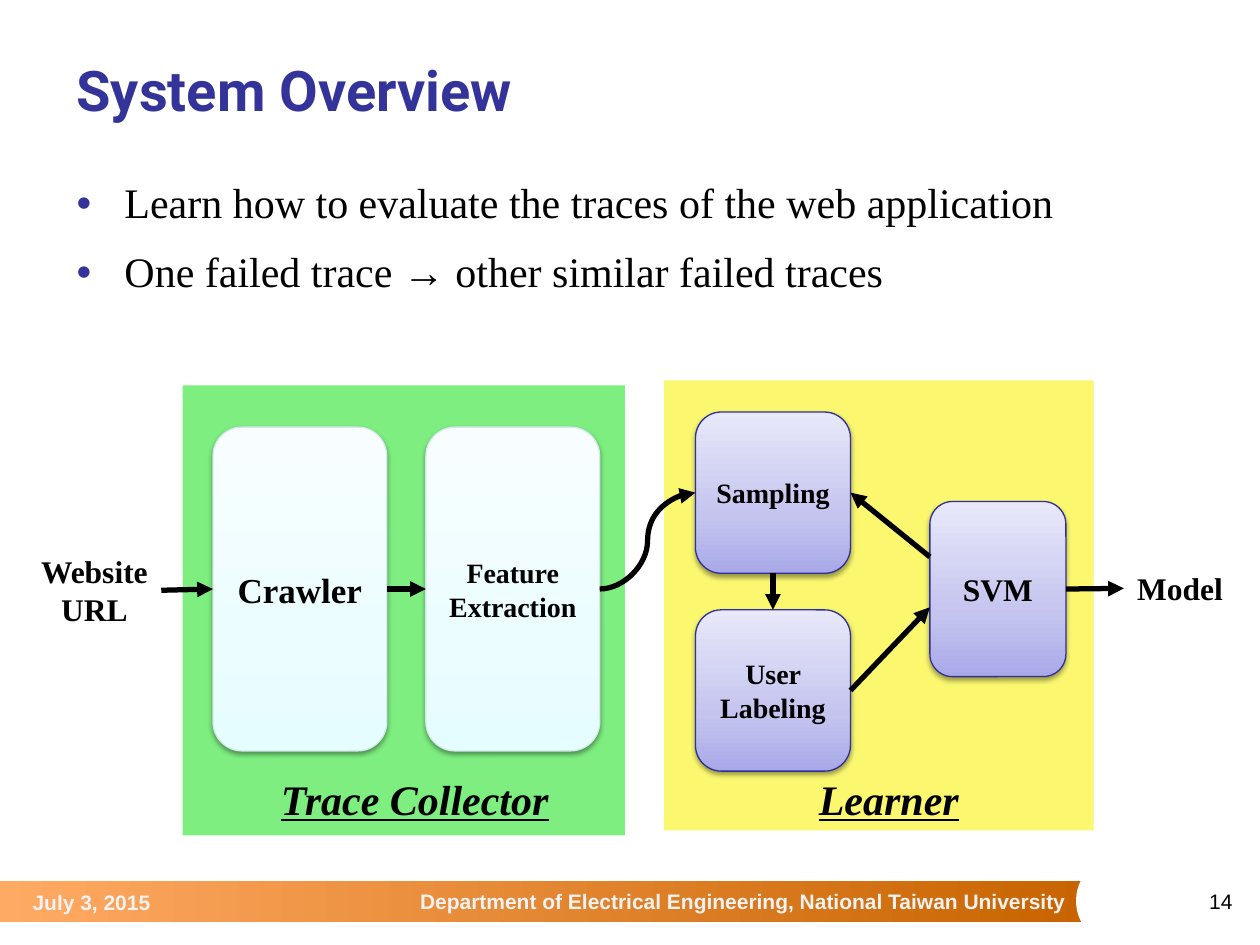
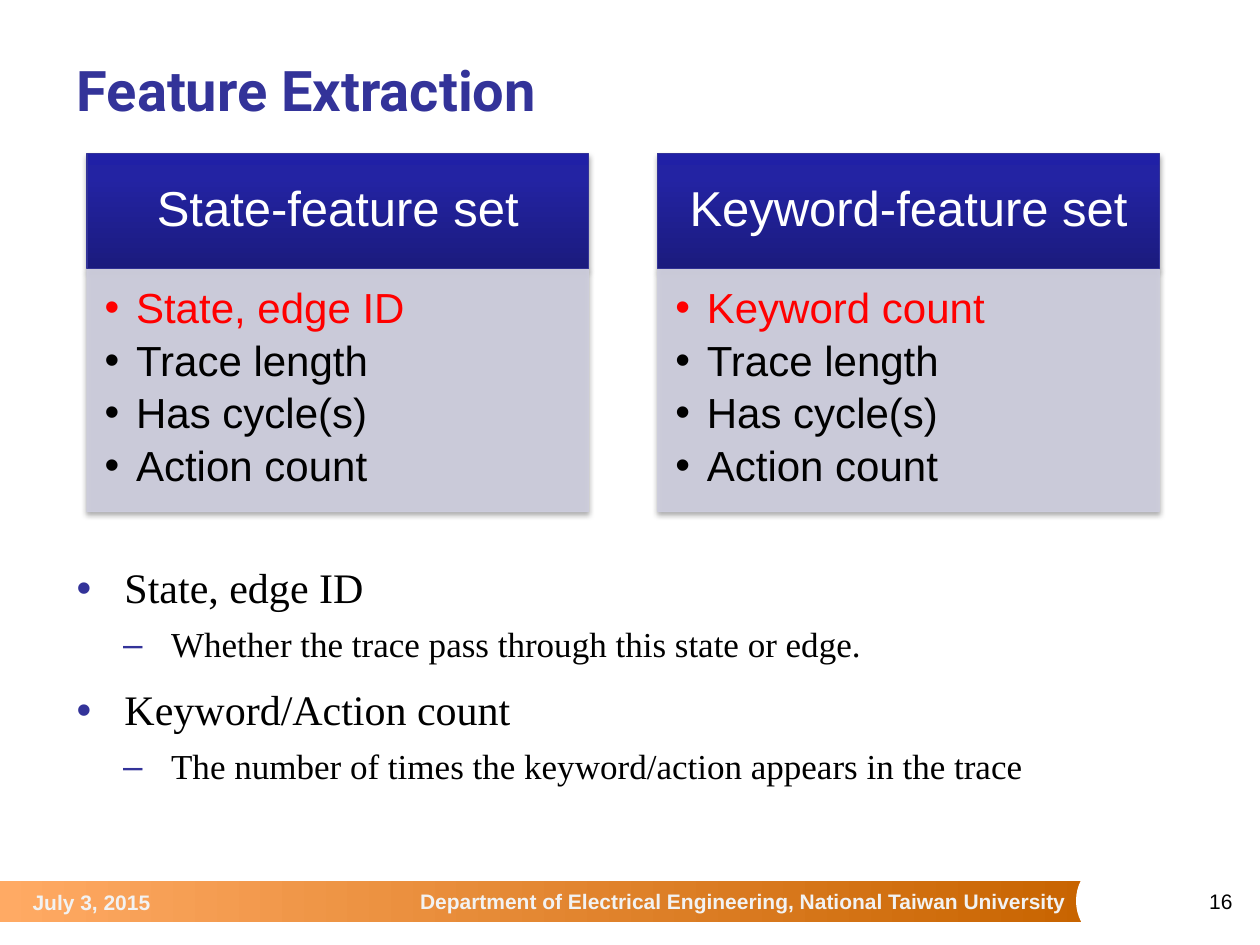
"""Build two slides on learning to judge web application traces: system overview and features."""
import collections

import lxml.etree
import pptx
import pptx.dml.color
import pptx.enum.shapes
import pptx.enum.text
import pptx.oxml.ns
import pptx.util

Inches, Pt = pptx.util.Inches, pptx.util.Pt
RGB = pptx.dml.color.RGBColor
SHAPE = pptx.enum.shapes.MSO_SHAPE
CONNECTOR = pptx.enum.shapes.MSO_CONNECTOR
ANCHOR = pptx.enum.text.MSO_ANCHOR
ALIGN = pptx.enum.text.PP_ALIGN
qn = pptx.oxml.ns.qn

BLACK, WHITE = RGB(0, 0, 0), RGB(0xFF, 0xFF, 0xFF)
NAVY, RED = RGB(0x33, 0x33, 0x99), RGB(0xFF, 0, 0)
FOOTER_INK = RGB(0xF2, 0xF2, 0xF2)
GREEN, YELLOW = RGB(0x7E, 0xEE, 0x81), RGB(0xFB, 0xF8, 0x70)
ICE_LINE, VIOLET_LINE = RGB(0xD5, 0xE8, 0xEA), RGB(0x2F, 0x2F, 0x98)
PANEL = RGB(0xCE, 0xCE, 0xDE)
ORANGE_BAND = [(0, RGB(0xC8, 0x64, 0)), (100, RGB(0xFF, 0xAA, 0x64))]
ICE = [(0, RGB(0xE6, 0xFD, 0xFF)), (35, RGB(0xEC, 0xFD, 0xFF)), (100, RGB(0xF8, 0xFE, 0xFF))]
VIOLET = [(0, RGB(0xA9, 0xA9, 0xE9)), (35, RGB(0xC4, 0xC4, 0xEF)), (100, RGB(0xE8, 0xE8, 0xFA))]
HEADER = [(0, RGB(0x1B, 0x1B, 0x7E)), (80, RGB(0x23, 0x23, 0xA3)), (100, RGB(0x20, 0x20, 0xA6))]
UPWARD, LEFTWARD = 90, 180

Style = collections.namedtuple("Style", "size face color bold italic underline",
                               defaults=(BLACK, False, False, False))
SERIF = "Times New Roman"
TITLE = Style(32, "Roboto", NAVY, True)
FOOTER = Style(12, "Arial", FOOTER_INK, True)
PAGE = Style(12, "Arial")
GROUP_LABEL = Style(24, SERIF, BLACK, True, True, True)
OUTER_LABEL = Style(18, SERIF, BLACK, True)
PANEL_TITLE = Style(28, "Arial", WHITE)
PANEL_ITEM = Style(24, "Arial")

Level = collections.namedtuple("Level", "style indent hanging bullet before")
BODY_LEVELS = [Level(Style(24, SERIF), 0.38, 0.38, "•", 12.4),
               Level(Style(20, SERIF), 0.75, 0.38, "–", 7)]

DATE = "July 3, 2015"
DEPARTMENT = "Department of Electrical Engineering, National Taiwan University"

OVERVIEW_POINTS = [(0, "Learn how to evaluate the traces of the web application"),
                   (0, "One failed trace → other similar failed traces")]
STAGES = [((1.45, 3.06, 3.51, 3.57), GREEN), ((5.27, 3.02, 3.41, 3.57), YELLOW)]
STEPS = {
    "Crawler": ((1.69, 3.39, 1.38, 2.57), 20, ICE, ICE_LINE),
    "Feature Extraction": ((3.38, 3.39, 1.38, 2.57), 16, ICE, ICE_LINE),
    "Sampling": ((5.52, 3.27, 1.23, 1.28), 16, VIOLET, VIOLET_LINE),
    "User Labeling": ((5.52, 4.84, 1.23, 1.28), 16, VIOLET, VIOLET_LINE),
    "SVM": ((7.38, 3.98, 1.08, 1.39), 18, VIOLET, VIOLET_LINE),
}
LABELS = [
    (["Trace Collector"], (2.13, 6.09, 2.35, 0.5), GROUP_LABEL, ALIGN.LEFT),
    (["Learner"], (6.4, 6.09, 1.32, 0.5), GROUP_LABEL, ALIGN.LEFT),
    (["Website", "URL"], (0.22, 4.33, 1.06, 0.71), OUTER_LABEL, ALIGN.CENTER),
    (["Model"], (8.92, 4.47, 0.89, 0.4), OUTER_LABEL, ALIGN.CENTER),
]
TOP, LEFT, BOTTOM, RIGHT = range(4)
SVM_IN, SVM_OUT = (7.38, 4.82), (7.38, 4.42)
FLOWS = [
    (("Website", RIGHT), ("Crawler", LEFT), CONNECTOR.STRAIGHT),
    (("Crawler", RIGHT), ("Feature Extraction", LEFT), CONNECTOR.STRAIGHT),
    (("Feature Extraction", RIGHT), ("Sampling", LEFT), CONNECTOR.CURVE),
    (("Sampling", BOTTOM), ("User Labeling", TOP), CONNECTOR.STRAIGHT),
    (("User Labeling", RIGHT), SVM_IN, CONNECTOR.STRAIGHT),
    (SVM_OUT, ("Sampling", RIGHT), CONNECTOR.STRAIGHT),
    (("SVM", RIGHT), ("Model", LEFT), CONNECTOR.STRAIGHT),
]

SHARED_FEATURES = ["Trace length", "Has cycle(s)", "Action count"]
FEATURE_SETS = [("State-feature set", "State, edge ID"),
                ("Keyword-feature set", "Keyword count")]
SET_LEFT, SET_STEP, SET_WIDTH = 0.69, 4.53, 3.98
FEATURE_POINTS = [
    (0, "State, edge ID"),
    (1, "Whether the trace pass through this state or edge."),
    (0, "Keyword/Action count"),
    (1, "The number of times the keyword/action appears in the trace"),
]


def inches(values):
    return [Inches(value) for value in values]


def child(parent, tag, **attributes):
    node = lxml.etree.SubElement(parent, qn(tag))
    for key, value in attributes.items():
        node.set(key, str(value))
    return node


def add_line(frame, index, text, style, align=ALIGN.LEFT, spacing=None):
    paragraph = frame.paragraphs[0] if index == 0 else frame.add_paragraph()
    paragraph.alignment = align
    if spacing:
        paragraph.line_spacing = spacing
    run = paragraph.add_run()
    run.text = text
    font = run.font
    font.size, font.name, font.color.rgb = Pt(style.size), style.face, style.color
    font.bold, font.italic, font.underline = style.bold, style.italic, style.underline
    return paragraph


def add_bullet(paragraph, mark, indent, hanging, color=None):
    properties = paragraph._p.get_or_add_pPr()
    properties.set("marL", str(Inches(indent)))
    properties.set("indent", str(-Inches(hanging)))
    if color is not None:
        child(child(properties, "a:buClr"), "a:srgbClr", val=color)
    child(properties, "a:buFont", typeface="Arial")
    child(properties, "a:buChar", char=mark)


def add_label(slide, place, lines, style, align=ALIGN.LEFT, anchor=ANCHOR.MIDDLE,
              wrap=True, spacing=None):
    label = slide.shapes.add_textbox(*inches(place))
    frame = label.text_frame
    frame.word_wrap, frame.vertical_anchor = wrap, anchor
    for index, text in enumerate(lines):
        add_line(frame, index, text, style, align, spacing)
    return label


def add_block(slide, kind, place, fill, line=None, angle=UPWARD, shadow=None):
    block = slide.shapes.add_shape(kind, *inches(place))
    block.shadow.inherit = False
    if isinstance(fill, list):
        block.fill.gradient()
        block.fill.gradient_angle = angle
        stops = block._element.spPr.find(".//" + qn("a:gsLst"))
        for stop in list(stops):
            stops.remove(stop)
        for position, color in fill:
            child(child(stops, "a:gs", pos=position * 1000), "a:srgbClr", val=color)
    else:
        block.fill.solid()
        block.fill.fore_color.rgb = fill
    if line is None:
        block.line.fill.background()
    else:
        block.line.color.rgb = line
        block.line.width = Pt(0.75)
    if shadow:
        opacity, distance = shadow
        effects = block._element.spPr.find(qn("a:effectLst"))
        outer = child(effects, "a:outerShdw", blurRad=Pt(3.1), dist=Pt(distance),
                      dir=90 * 60000, rotWithShape=0)
        child(child(outer, "a:srgbClr", val=BLACK), "a:alpha", val=opacity * 1000)
    block.text_frame.word_wrap = True
    block.text_frame.vertical_anchor = ANCHOR.MIDDLE
    return block


def set_margins(frame, left, top, right, bottom):
    frame.margin_left, frame.margin_top = Inches(left), Inches(top)
    frame.margin_right, frame.margin_bottom = Inches(right), Inches(bottom)


def add_points(slide, place, points):
    body = slide.shapes.add_textbox(*inches(place)).text_frame
    body.word_wrap = True
    for index, (depth, text) in enumerate(points):
        level = BODY_LEVELS[depth]
        paragraph = add_line(body, index, text, level.style, spacing=0.95)
        paragraph.level = depth
        if index:
            paragraph.space_before = Pt(level.before)
        add_bullet(paragraph, level.bullet, level.indent, level.hanging, NAVY)


def add_flow(slide, parts, start, end, kind):
    flow = slide.shapes.add_connector(kind, 0, 0, 0, 0)
    if start[0] in parts:
        flow.begin_connect(parts[start[0]], start[1])
    else:
        flow.begin_x, flow.begin_y = inches(start)
    if end[0] in parts:
        flow.end_connect(parts[end[0]], end[1])
    else:
        flow.end_x, flow.end_y = inches(end)
    flow.line.color.rgb = BLACK
    flow.line.width = Pt(3)
    child(flow.line._get_or_add_ln(), "a:tailEnd", type="triangle")
    child(flow._element.spPr, "a:effectLst")


def start_slide(deck, title, page):
    slide = deck.slides.add_slide(deck.slide_layouts[6])
    add_block(slide, SHAPE.RECTANGLE, (-0.01, 6.99, 8.65, 0.33), ORANGE_BAND, angle=LEFTWARD)
    add_block(slide, SHAPE.OVAL, (8.54, 6.82, 0.6, 0.66), WHITE)
    add_label(slide, (1.61, 7, 6.95, 0.3), [DEPARTMENT], FOOTER, ALIGN.RIGHT)
    add_label(slide, (0.16, 6.98, 1.45, 0.36), [DATE], FOOTER)
    add_label(slide, (8.94, 6.89, 0.94, 0.52), [page], PAGE, ALIGN.RIGHT)
    add_label(slide, (0.51, 0.27, 9, 0.94), [title], TITLE, spacing=0.9)
    return slide


def build_overview(deck):
    slide = start_slide(deck, "System Overview", "14")
    add_points(slide, (0.51, 1.38, 9, 1.24), OVERVIEW_POINTS)
    for place, color in STAGES:
        add_block(slide, SHAPE.RECTANGLE, place, color)
    parts = {}
    for name, (place, size, fill, line) in STEPS.items():
        step = add_block(slide, SHAPE.ROUNDED_RECTANGLE, place, fill, line, shadow=(38, 1.6))
        add_line(step.text_frame, 0, name, Style(size, SERIF, BLACK, True), ALIGN.CENTER)
        parts[name] = step
    for lines, place, style, align in LABELS:
        parts[lines[0]] = add_label(slide, place, lines, style, align, ANCHOR.TOP, wrap=False)
    for start, end, kind in FLOWS:
        add_flow(slide, parts, start, end, kind)


def build_features(deck):
    slide = start_slide(deck, "Feature Extraction", "16")
    for column, (name, own_feature) in enumerate(FEATURE_SETS):
        left = SET_LEFT + column * SET_STEP
        header = add_block(slide, SHAPE.RECTANGLE, (left, 1.22, SET_WIDTH, 0.91), HEADER, NAVY,
                           shadow=(35, 1.8))
        set_margins(header.text_frame, 0.22, 0.12, 0.22, 0.12)
        add_line(header.text_frame, 0, name, PANEL_TITLE, ALIGN.CENTER, 0.9)

        panel = add_block(slide, SHAPE.RECTANGLE, (left, 2.14, SET_WIDTH, 1.92), PANEL, PANEL,
                          shadow=(35, 1.8))
        for color in panel._element.spPr.findall(".//" + qn("a:solidFill") + "/" + qn("a:srgbClr")):
            child(color, "a:alpha", val=90000)
        frame = panel.text_frame
        frame.vertical_anchor = ANCHOR.TOP
        set_margins(frame, 0.14, 0.14, 0.19, 0.21)
        for index, feature in enumerate([own_feature] + SHARED_FEATURES):
            style = PANEL_ITEM if index else PANEL_ITEM._replace(color=RED)
            paragraph = add_line(frame, index, feature, style, spacing=0.9)
            paragraph.level = 1
            paragraph.space_after = Pt(4.1)
            add_bullet(paragraph, "•", 0.25, 0.25)
    add_points(slide, (0.51, 4.44, 9, 2.34), FEATURE_POINTS)


def main():
    deck = pptx.Presentation()
    deck.slide_width, deck.slide_height = Inches(10), Inches(7.5)
    build_overview(deck)
    build_features(deck)
    deck.save("out.pptx")


if __name__ == "__main__":
    main()
